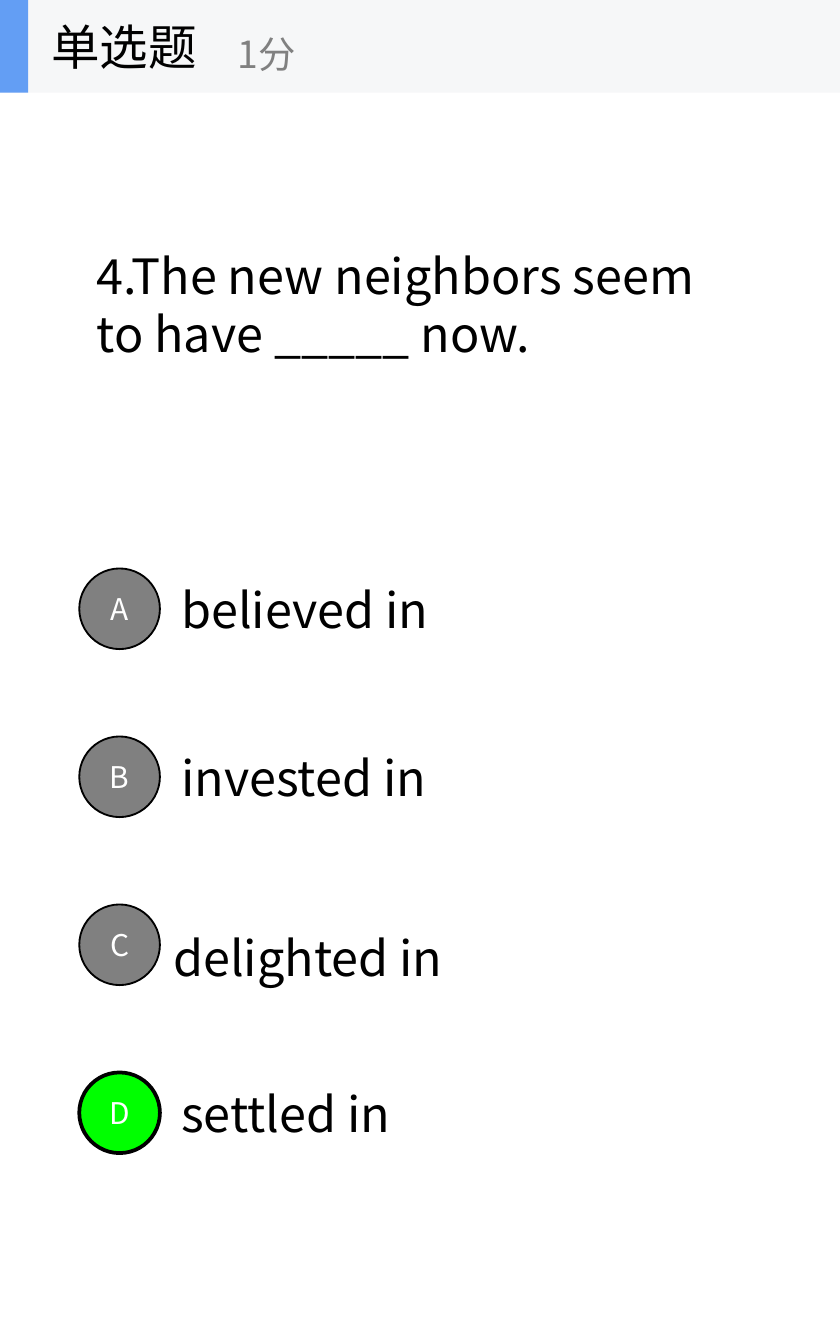
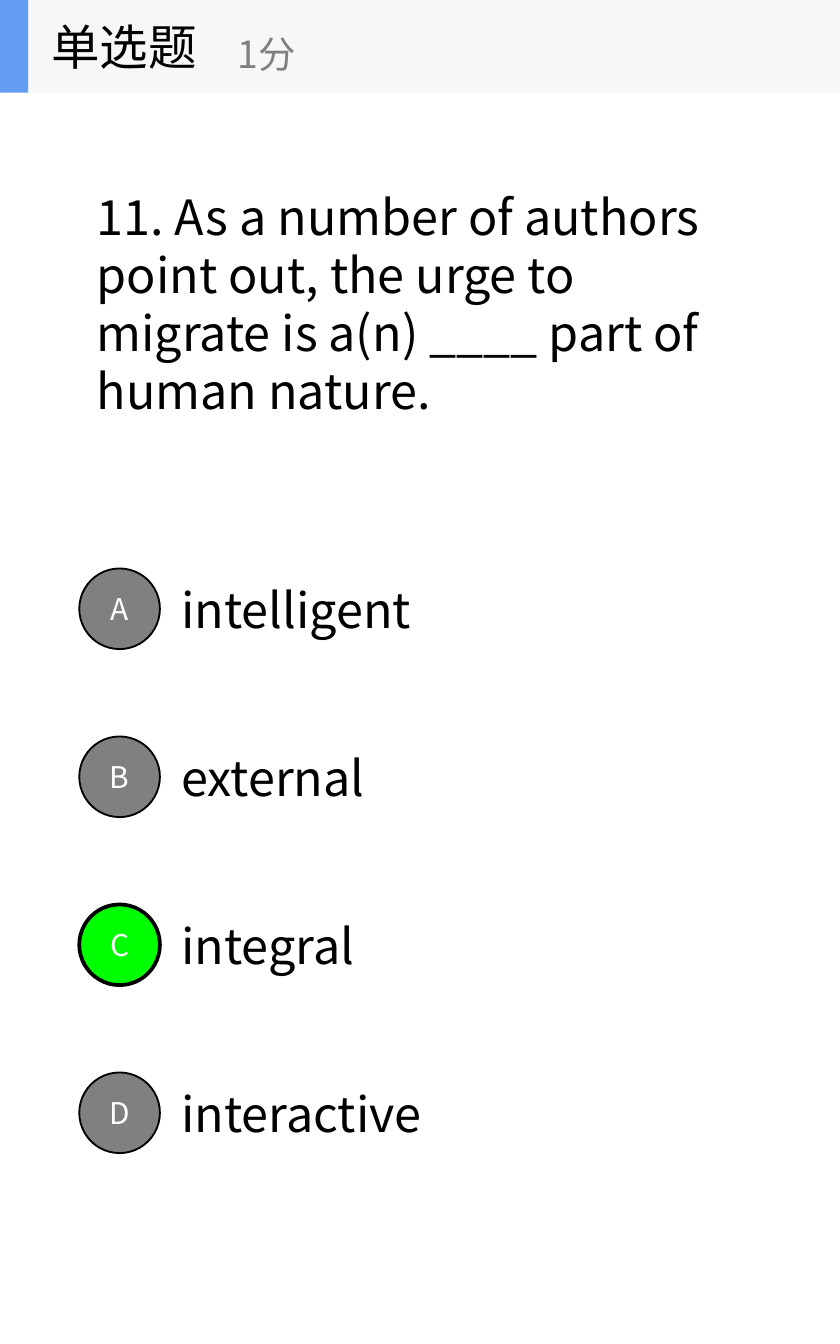
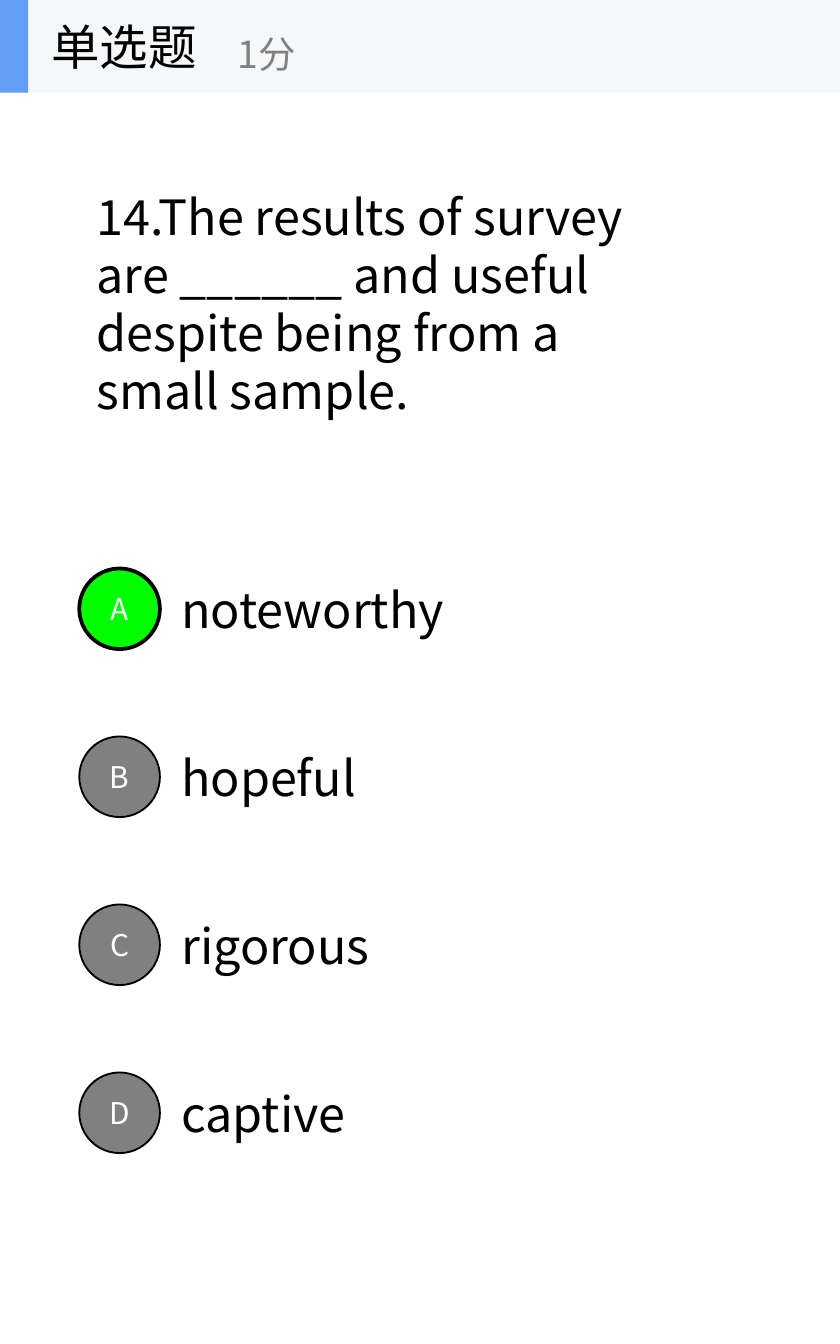
from pptx import Presentation
from pptx import util as u
from pptx.dml.color import RGBColor
from pptx.enum import shapes, text
from pptx.oxml.ns import qn
from lxml import etree

FONT = "Noto Sans CJK SC"
BLACK, WHITE, GREY = "000000", "FFFFFF", "808080"
BAND, ACCENT, CORRECT = "F6F7F8", "639EF4", "00FF00"
BAND_HEIGHT = 0.69
FIRST_ROW, ROW_STEP, BADGE_LEFT, BADGE_SIZE = 4.23, 1.25, 0.59, 0.6
OPTION_LEFT, OPTION_HEIGHT = 1.25, 0.54

# Question, its (left, top, width, height), right letter, options with box widths
questions = [
    ("4.The new neighbors seem to have _____ now.", (0.62, 1.77, 4.99, 0.98), "D",
     [("believed in", 3.06), ("invested in", 2.89), ("delighted in", 3.31), ("settled in", 2.27)]),
    ("11. As a number of authors point out, the urge to migrate is a(n) ____ part of human nature.",
     (0.62, 1.34, 4.78, 1.83), "C",
     [("intelligent", 2.04), ("external", 1.61), ("integral", 1.62), ("interactive", 2.17)]),
    ("14.The results of survey are ______ and useful despite being from a small sample.",
     (0.62, 1.34, 4.57, 1.83), "A",
     [("noteworthy", 2.3), ("hopeful", 1.64), ("rigorous", 1.75), ("captive", 1.54)]),
]
nudges = {"delighted in": (-0.06, 0.09)}


def color(value):
    return RGBColor.from_string(value)


def write(shape, words, size, ink, align=text.PP_ALIGN.LEFT):
    frame = shape.text_frame
    frame.word_wrap = True
    frame.auto_size = text.MSO_AUTO_SIZE.NONE
    frame.vertical_anchor = text.MSO_ANCHOR.MIDDLE
    para = frame.paragraphs[0]
    para.alignment = align
    span = para.add_run()
    span.text = words
    span.font.size = u.Pt(size)
    span.font.name = FONT
    span.font.color.rgb = color(ink)
    etree.SubElement(span.font._element, qn("a:ea"), typeface=FONT)


deck = Presentation()
deck.slide_width, deck.slide_height = u.Inches(6.25), u.Inches(10)

for question, place, answer, options in questions:
    page = deck.slides.add_slide(deck.slide_layouts[5])

    # Question
    box = page.shapes.add_textbox(*map(u.Inches, place))
    write(box, question, 26, BLACK)

    # Options with lettered badges
    for row, (letter, (option, width)) in enumerate(zip("ABCD", options)):
        top = FIRST_ROW + row * ROW_STEP
        shift, drop = nudges.get(option, (0, 0))
        box = page.shapes.add_textbox(
            u.Inches(OPTION_LEFT + shift),
            u.Inches(top + (BADGE_SIZE - OPTION_HEIGHT) / 2 + drop),
            u.Inches(width), u.Inches(OPTION_HEIGHT))
        write(box, option, 26, BLACK)

        right = letter == answer
        badge = page.shapes.add_shape(
            shapes.MSO_SHAPE.OVAL, u.Inches(BADGE_LEFT), u.Inches(top),
            u.Inches(BADGE_SIZE), u.Inches(BADGE_SIZE))
        badge.shadow.inherit = False
        badge.fill.solid()
        badge.fill.fore_color.rgb = color(CORRECT if right else GREY)
        badge.line.color.rgb = color(BLACK)
        badge.line.width = u.Pt(2 if right else 1)
        write(badge, letter, 16, WHITE, text.PP_ALIGN.CENTER)

    # Header band and its accent
    for width, fill in ((6.25, BAND), (0.21, ACCENT)):
        bar = page.shapes.add_shape(
            shapes.MSO_SHAPE.RECTANGLE, 0, 0, u.Inches(width), u.Inches(BAND_HEIGHT))
        bar.shadow.inherit = False
        bar.fill.solid()
        bar.fill.fore_color.rgb = color(fill)
        bar.line.fill.background()

    # Title, brought in front of the band, and the score
    title = page.shapes.title
    title.left, title.top = u.Inches(0.28), 0
    title.width, title.height = u.Inches(2.08), u.Inches(BAND_HEIGHT)
    write(title, "单选题", 26, BLACK)
    page.shapes._spTree.append(title._element)
    score = page.shapes.add_textbox(*map(u.Inches, (1.67, 0.12, 2.5, 0.56)))
    write(score, "1分", 20, GREY)

deck.save("out.pptx")
